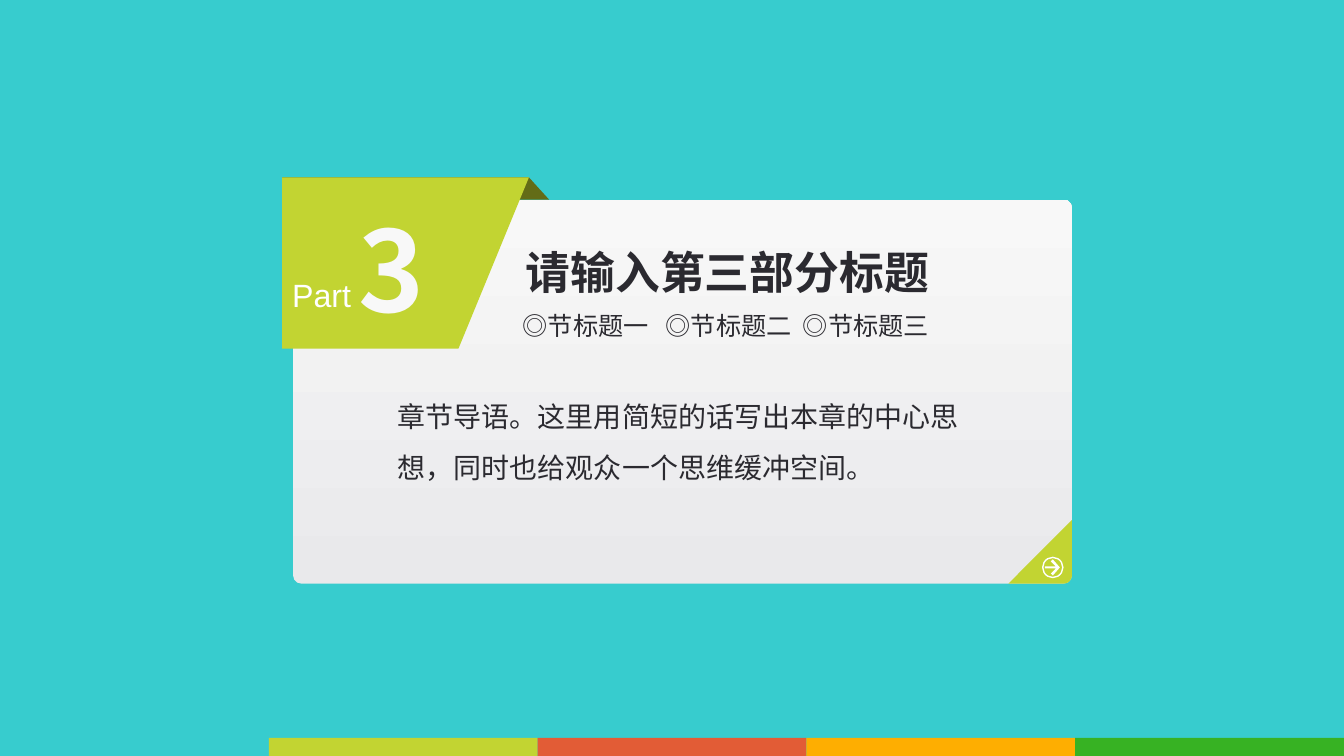
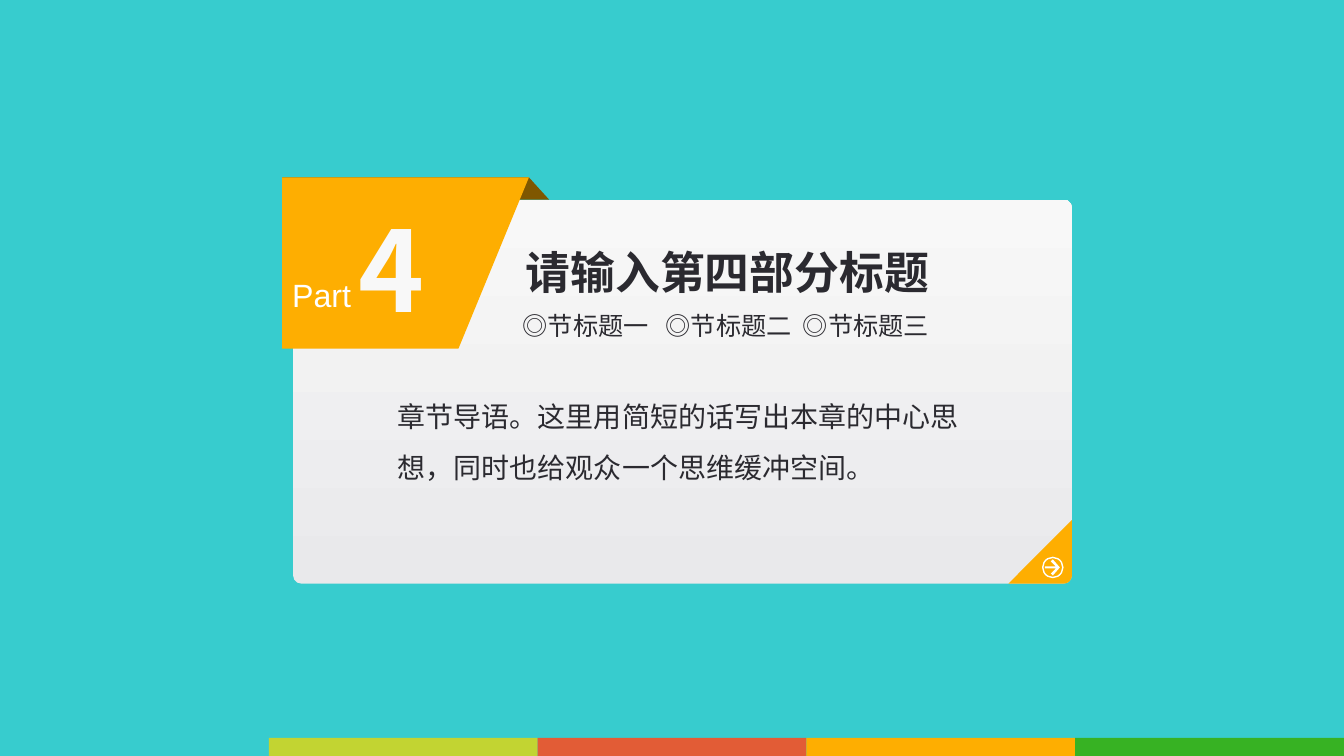
import math

from lxml import etree
from pptx import Presentation
from pptx.dml.color import RGBColor
from pptx.enum.shapes import MSO_SHAPE
from pptx.oxml.ns import qn
from pptx.util import Inches, Pt

RECTANGLE = MSO_SHAPE.RECTANGLE
ROUNDED = MSO_SHAPE.ROUNDED_RECTANGLE
OVAL = MSO_SHAPE.OVAL

# Shared look
WIDTH, HEIGHT = 13.34, 7.5
CJK, LATIN = "Noto Sans CJK SC", "Arial"
TEAL, LIME, RED, AMBER, GREEN = "37CCCE", "C2D432", "E25C36", "FEAE01", "37B223"
DARK, PALE, GREY, WHITE = "2B2A30", "F8F8F8", "E9E9EB", "FFFFFF"
BAND_COLORS = [TEAL, LIME, RED, AMBER, GREEN]
BAND_HEIGHT = 0.18

# Card geometry
LEFT, TOP, CARD_WIDTH, CARD_HEIGHT, RADIUS = 2.91, 1.98, 7.73, 3.81, 0.08
RIGHT, BOTTOM = LEFT + CARD_WIDTH, TOP + CARD_HEIGHT
FOLD = 0.63
RIBBON = [(5.25, 1.76), (2.8, 1.76), (2.8, 3.46), (4.55, 3.46)]
RIBBON_BACK = [(3, TOP), (5.45, TOP), (5.25, 1.76), (2.8, 1.76)]
CORNER_ARC = [
    (RIGHT - RADIUS + RADIUS * math.cos(math.radians(angle)),
     BOTTOM - RADIUS + RADIUS * math.sin(math.radians(angle)))
    for angle in range(0, 91, 15)
]
CORNER = [(RIGHT, BOTTOM - FOLD), *CORNER_ARC, (RIGHT - FOLD, BOTTOM)]
ARROW = [(10.45, 5.55), (10.52, 5.63), (10.45, 5.71), (10.43, 5.69), (10.48, 5.64),
         (10.37, 5.64), (10.37, 5.62), (10.48, 5.62), (10.43, 5.57)]

# Section content: number, title, ribbon colour, ribbon shade
SECTIONS = [
    ("3", "请输入第三部分标题", LIME, "636C17"),
    ("4", "请输入第四部分标题", AMBER, "7F5700"),
]
TOPICS = "◎节标题一\t◎节标题二\t◎节标题三"
TOPIC_TABS = [1.42, 2.78]
INTRO = "章节导语。这里用简短的话写出本章的中心思想，同时也给观众一个思维缓冲空间。"


def rgb(value):
    return RGBColor.from_string(value)


def add_text(page, text, area, size, color, font=CJK, bold=False, inset=True,
             spacing=None, tabs=()):
    box = page.shapes.add_textbox(*[Inches(value) for value in area])
    frame = box.text_frame
    frame.word_wrap = True
    if not inset:
        frame.margin_left = frame.margin_right = 0
        frame.margin_top = frame.margin_bottom = 0
    para = frame.paragraphs[0]
    para.text = text
    if spacing:
        para.line_spacing = spacing
    if tabs:
        tab_list = etree.SubElement(para._p.get_or_add_pPr(), qn("a:tabLst"))
        for position in tabs:
            etree.SubElement(tab_list, qn("a:tab"), pos=str(Inches(position)), algn="l")
    para.font.size = Pt(size)
    para.font.bold = bold
    para.font.color.rgb = rgb(color)
    para.font.name = font
    properties = para._p.pPr.find(qn("a:defRPr"))
    etree.SubElement(properties, qn("a:ea"), typeface=font)


deck = Presentation()
deck.slide_width, deck.slide_height = Inches(WIDTH), Inches(HEIGHT)
background = deck.slide_master.background.fill
background.solid()
background.fore_color.rgb = rgb(TEAL)

for number, title, accent, shade in SECTIONS:
    page = deck.slides.add_slide(deck.slide_layouts[6])

    # Card
    card = page.shapes.add_shape(ROUNDED, Inches(LEFT), Inches(TOP),
                                 Inches(CARD_WIDTH), Inches(CARD_HEIGHT))
    card.adjustments[0] = RADIUS / CARD_HEIGHT
    card.shadow.inherit = False
    card.line.fill.background()
    card.fill.gradient()
    card.fill.gradient_angle = 90
    for stop, color in zip(card.fill.gradient_stops, [GREY, PALE]):
        stop.color.rgb = rgb(color)

    # Ribbon, folded corner and arrow
    for points, color in [(RIBBON_BACK, shade), (RIBBON, accent),
                          (CORNER, accent), (ARROW, WHITE)]:
        corners = [(Inches(x), Inches(y)) for x, y in points]
        builder = page.shapes.build_freeform(*corners[0])
        builder.add_line_segments(corners[1:], close=True)
        outline = builder.convert_to_shape()
        outline.shadow.inherit = False
        outline.fill.solid()
        outline.fill.fore_color.rgb = rgb(color)
        outline.line.fill.background()

    # Ring around the arrow
    ring = page.shapes.add_shape(OVAL, Inches(10.35), Inches(5.53), Inches(0.2), Inches(0.2))
    ring.shadow.inherit = False
    ring.fill.background()
    ring.line.color.rgb = rgb(WHITE)
    ring.line.width = Pt(1)

    # Texts
    add_text(page, number, (3.46, 1.94, 0.76, 1.45), 80, PALE, bold=True)
    add_text(page, title, (5.12, 2.38, 4.42, 0.64), 32, DARK, bold=True)
    add_text(page, "Part", (2.9, 2.73, 0.73, 0.45), 23, WHITE, font=LATIN, inset=False)
    add_text(page, INTRO, (3.85, 3.75, 5.82, 1.11), 20, DARK, spacing=1.5)
    add_text(page, TOPICS, (5.09, 3.03, 4.68, 0.4), 18, DARK, tabs=TOPIC_TABS)

    # Colour band along the bottom
    band = page.shapes.add_group_shape()
    band_width = WIDTH / len(BAND_COLORS)
    for index, color in enumerate(BAND_COLORS):
        block = band.shapes.add_shape(RECTANGLE, Inches(index * band_width),
                                      Inches(HEIGHT - BAND_HEIGHT),
                                      Inches(band_width), Inches(BAND_HEIGHT))
        block.shadow.inherit = False
        block.fill.solid()
        block.fill.fore_color.rgb = rgb(color)
        block.line.fill.background()

deck.save("out.pptx")
